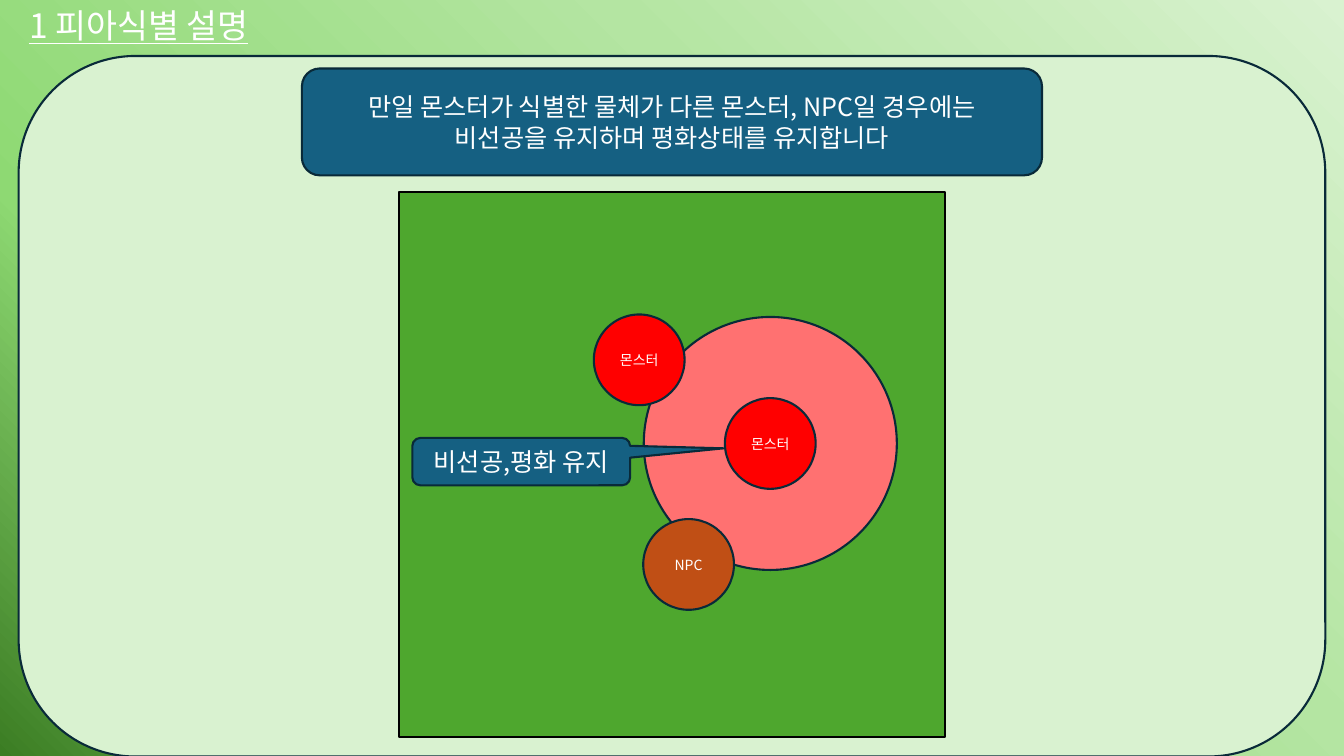
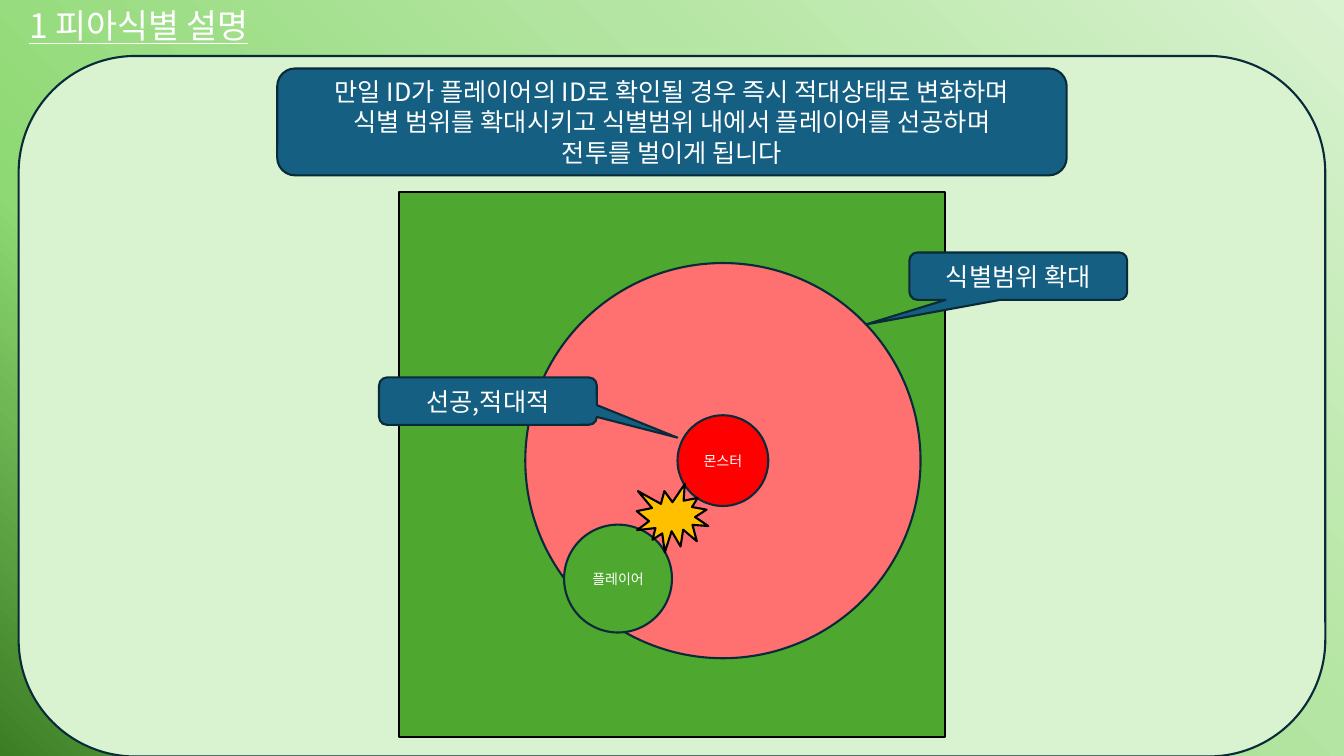
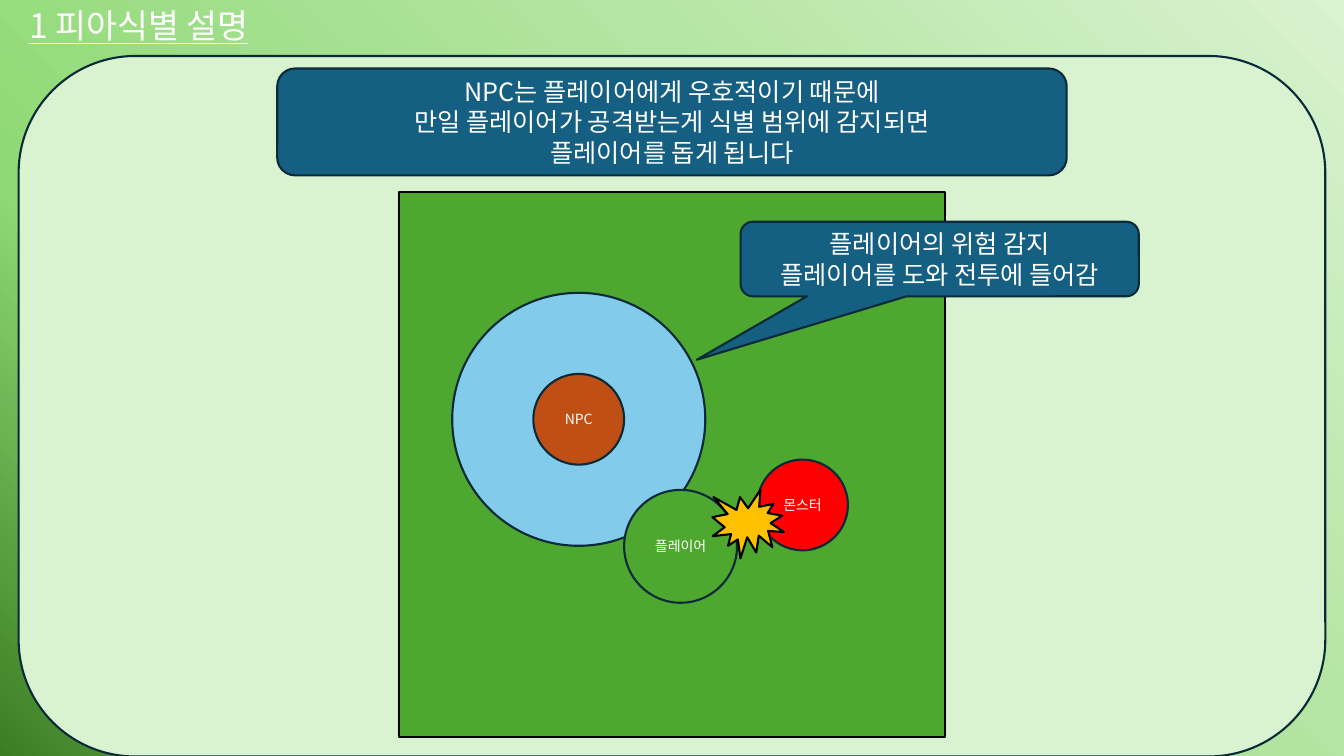
from dataclasses import dataclass
from lxml import etree
from pptx import Presentation
from pptx.dml.color import RGBColor
from pptx.enum.shapes import MSO_SHAPE
from pptx.enum.text import MSO_ANCHOR, MSO_AUTO_SIZE, PP_ALIGN
from pptx.oxml.ns import qn
from pptx.util import Inches, Pt

RECT, ROUNDED, CIRCLE = MSO_SHAPE.RECTANGLE, MSO_SHAPE.ROUNDED_RECTANGLE, MSO_SHAPE.OVAL
CALLOUT, BURST = MSO_SHAPE.ROUNDED_RECTANGULAR_CALLOUT, MSO_SHAPE.EXPLOSION1
LEFT, CENTER = PP_ALIGN.LEFT, PP_ALIGN.CENTER
MIDDLE, FIT_SHAPE = MSO_ANCHOR.MIDDLE, MSO_AUTO_SIZE.SHAPE_TO_FIT_TEXT


@dataclass
class Theme:
    font: str = "Noto Sans CJK KR"
    title_size: int = 24
    body_size: int = 18
    label_size: int = 10
    line_width: float = 1.5
    text: str = "FFFFFF"
    outline: str = "092A39"
    black: str = "000000"
    panel: str = "D9F2D0"
    box: str = "156082"
    field: str = "4EA72E"
    monster: str = "FF0000"
    npc: str = "C04F15"
    danger_range: str = "FF7171"
    friendly_range: str = "83CBEB"
    burst: str = "FFC000"
    backdrop: tuple = ((0, "3B7D23"), (27, "8ED973"), (65, "B4E5A2"), (100, "D9F2D0"))


theme = Theme()
SLIDE_W, SLIDE_H = 13.33, 7.5
UNIT = 0.9  # diameter of a monster or an NPC
PLAYER = theme.field


def write_text(shape, text, size=theme.body_size, align=CENTER, underline=False):
    frame = shape.text_frame
    frame.word_wrap = True
    for i, line in enumerate(text.split("\n")):
        paragraph = frame.add_paragraph() if i else frame.paragraphs[0]
        paragraph.alignment = align
        run = paragraph.add_run()
        run.text = line
        run.font.name = theme.font
        run.font.size = Pt(size)
        run.font.color.rgb = RGBColor.from_string(theme.text)
        if underline:
            run.font.underline = True
        etree.SubElement(run.font._element, qn("a:ea"), typeface=theme.font)


def add_part(slide, kind, center, size, fill, line=theme.outline, text="", text_size=theme.body_size):
    (x, y), (w, h) = center, size
    part = slide.shapes.add_shape(kind, Inches(x - w / 2), Inches(y - h / 2), Inches(w), Inches(h))
    part.shadow.inherit = False
    part.fill.solid()
    part.fill.fore_color.rgb = RGBColor.from_string(fill)
    part.line.color.rgb = RGBColor.from_string(line)
    part.line.width = Pt(theme.line_width)
    if text:
        part.text_frame.vertical_anchor = MIDDLE
        write_text(part, text, size=text_size)
    return part


# Circles: label, centre, diameter, fill
# Callouts: text, centre, size, tip offset as a share of the size
scenes = [
    {
        "banner": "만일 몬스터가 식별한 물체가 다른 몬스터, NPC일 경우에는\n비선공을 유지하며 평화상태를 유지합니다",
        "banner_width": 7.34,
        "circles": [
            ("", (7.64, 4.4), 2.51, theme.danger_range),
            ("몬스터", (7.64, 4.4), UNIT, theme.monster),
            ("NPC", (6.83, 5.6), UNIT, theme.npc),
            ("몬스터", (6.34, 3.57), UNIT, theme.monster),
        ],
        "callouts": [("비선공,평화 유지", (5.17, 4.58), (2.16, 0.47), (0.93, -0.28))],
        "burst": None,
    },
    {
        "banner": "만일 ID가 플레이어의 ID로 확인될 경우 즉시 적대상태로 변화하며\n"
                  "식별 범위를 확대시키고 식별범위 내에서 플레이어를 선공하며\n전투를 벌이게 됩니다",
        "banner_width": 7.83,
        "circles": [
            ("", (7.17, 4.57), 3.92, theme.danger_range),
            ("몬스터", (7.17, 4.57), UNIT, theme.monster),
            ("플레이어", (6.13, 5.74), 1.07, PLAYER),
        ],
        "callouts": [
            ("선공,적대적", (4.84, 3.98), (2.16, 0.47), (0.87, 0.77)),
            ("식별범위 확대", (10.1, 2.74), (2.16, 0.47), (-0.7, 1.02)),
        ],
        "burst": (6.67, 5.14),
    },
    {
        "banner": "NPC는 플레이어에게 우호적이기 때문에\n"
                  "만일 플레이어가 공격받는게 식별 범위에 감지되면\n플레이어를 돕게 됩니다",
        "banner_width": 7.83,
        "circles": [
            ("", (5.74, 4.16), 2.51, theme.friendly_range),
            ("NPC", (5.74, 4.16), UNIT, theme.npc),
            ("플레이어", (6.75, 5.42), 1.12, PLAYER),
            ("몬스터", (7.96, 5.01), UNIT, theme.monster),
        ],
        "callouts": [
            ("플레이어의 위험 감지\n플레이어를 도와 전투에 들어감", (9.32, 2.57), (3.95, 0.74), (-0.61, 1.35)),
        ],
        "burst": (7.42, 5.2),
    },
]

prs = Presentation()
prs.slide_width, prs.slide_height = Inches(SLIDE_W), Inches(SLIDE_H)

# Gradient backdrop, shared through the master
backdrop = prs.slide_master.background.fill
backdrop.gradient()
backdrop.gradient_angle = 45
stops = prs.slide_master.element.find(".//" + qn("a:gsLst"))
for stop in list(stops):
    stops.remove(stop)
for percent, color in theme.backdrop:
    stop = etree.SubElement(stops, qn("a:gs"), pos=str(percent * 1000))
    etree.SubElement(stop, qn("a:srgbClr"), val=color)

for scene in scenes:
    slide = prs.slides.add_slide(prs.slide_layouts[6])

    # Panel, title and banner
    add_part(slide, ROUNDED, (SLIDE_W / 2, 4.03), (12.96, 6.95), theme.panel)
    title = slide.shapes.add_textbox(Inches(0.19), 0, Inches(5.71), Inches(0.5))
    write_text(title, "1 피아식별 설명", size=theme.title_size, align=LEFT, underline=True)
    title.text_frame.auto_size = FIT_SHAPE
    add_part(slide, ROUNDED, (SLIDE_W / 2, 1.21), (scene["banner_width"], 1.06), theme.box,
             text=scene["banner"])

    # Field with ranges and characters
    add_part(slide, RECT, (SLIDE_W / 2, 4.61), (5.41, 5.41), theme.field, line=theme.black)
    for label, center, diameter, fill in scene["circles"]:
        add_part(slide, CIRCLE, center, (diameter, diameter), fill,
                 text=label, text_size=theme.label_size)

    # Callouts and the clash
    for text, center, size, tip in scene["callouts"]:
        callout = add_part(slide, CALLOUT, center, size, theme.box, text=text)
        callout.adjustments[0], callout.adjustments[1] = tip
    if scene["burst"]:
        add_part(slide, BURST, scene["burst"], (0.71, 0.68), theme.burst, line=theme.black)

prs.save("out.pptx")
